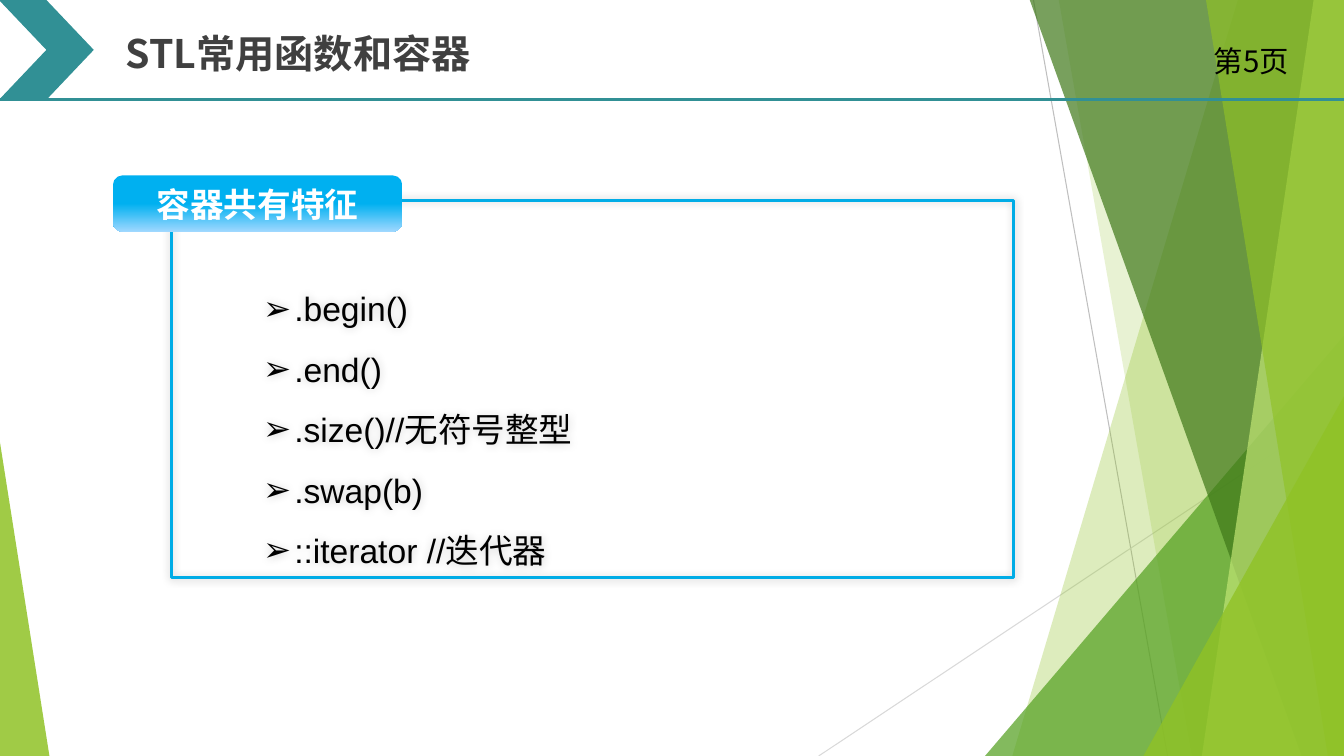
import pptx
import pptx.util
import pptx.dml.color
import pptx.enum.shapes
import pptx.enum.text
import pptx.oxml
import pptx.oxml.ns

# Content
TITLE = "STL常用函数和容器"
PAGE = "第5页"
HEADING = "容器共有特征"
FEATURES = [".begin()", ".end()", ".size()//无符号整型", ".swap(b)", "::iterator //迭代器"]

THEME = {
    "latin": "Arial", "cjk": "Noto Sans CJK SC",
    "teal": "319095", "title": "404040", "text": "000000", "white": "FFFFFF",
    "frame": "00ACE6", "tab": "00B0F0", "tab_end": "9FD8FF",
    "hair_dark": "BFBFBF", "hair_light": "D9D9D9",
    "lime": "90C226", "green": "54A021", "forest": "3F7819", "pale": "C0E474",
    "title_size": 28, "page_size": 21, "body_size": 24,
}

# Geometry in px, 100 to the inch
PX = 9144
WIDTH, HEIGHT = 1333, 750
RULE_Y = 99
# Ribbons: (top left x, bottom left x, colour, opacity); each runs to the right edge
# Triangles: (left, top, width, height, apex position, colour, opacity)
DECORATION = [
    ("ribbon", (1228, 1004, "lime", 30)),
    ("ribbon", (1050, 1182, "lime", 20)),
    ("triangle", (977, 333, 356, 417, 1, "green", 72)),
    ("ribbon", (1021, 1291, "forest", 70)),
    ("ribbon", (1303, 1192, "pale", 70)),
    ("ribbon", (1196, 1317, "lime", 65)),
    ("triangle", (1134, 393, 199, 357, 1, "lime", 80)),
    ("triangle", (0, 439, 49, 311, 0, "lime", 85)),
]

SHAPES = pptx.enum.shapes.MSO_SHAPE
ANCHOR = pptx.enum.text.MSO_ANCHOR

presentation = pptx.Presentation()
presentation.slide_width = WIDTH * PX
presentation.slide_height = HEIGHT * PX
slide = presentation.slides.add_slide(presentation.slide_layouts[6])


def rgb(name):
    return pptx.dml.color.RGBColor.from_string(THEME[name])


def add_xml(parent, xml):
    element = pptx.oxml.parse_xml(xml.replace(" ", f" {pptx.oxml.ns.nsdecls('a')} ", 1))
    parent.append(element)


def paint(shape, color, opacity=100):
    shape.shadow.inherit = False
    shape.line.fill.background()
    shape.fill.solid()
    shape.fill.fore_color.rgb = rgb(color)
    if opacity < 100:
        color_element = shape._element.spPr.find(".//" + pptx.oxml.ns.qn("a:srgbClr"))
        add_xml(color_element, f'<a:alpha val="{opacity * 1000}"/>')


def add_preset(kind, left, top, width, height):
    return slide.shapes.add_shape(kind, left * PX, top * PX, width * PX, height * PX)


def add_line(x1, y1, x2, y2, color, weight):
    connector = slide.shapes.add_connector(
        pptx.enum.shapes.MSO_CONNECTOR.STRAIGHT, x1 * PX, y1 * PX, x2 * PX, y2 * PX)
    connector.line.color.rgb = rgb(color)
    connector.line.width = pptx.util.Pt(weight)
    add_xml(connector._element.spPr, "<a:effectLst />")


def add_ribbon(top_x, bottom_x, color, opacity):
    builder = slide.shapes.build_freeform(top_x, -1, scale=PX)
    builder.add_line_segments([(WIDTH, -1), (WIDTH, HEIGHT), (bottom_x, HEIGHT)], close=True)
    paint(builder.convert_to_shape(), color, opacity)


def add_triangle(left, top, width, height, apex, color, opacity):
    triangle = add_preset(SHAPES.ISOSCELES_TRIANGLE, left, top, width, height)
    triangle.adjustments[0] = apex
    paint(triangle, color, opacity)


def add_run(paragraph, text, font, size, color, bold=False):
    run = paragraph.add_run()
    run.text = text
    run.font.name = THEME[font]
    run.font.size = pptx.util.Pt(THEME[size])
    run.font.color.rgb = rgb(color)
    run.font.bold = bold
    add_xml(run._r.get_or_add_rPr(), f'<a:ea typeface="{THEME["cjk"]}"/>')


def add_label(left, top, width, height, text, size, color, bold=False):
    box = slide.shapes.add_textbox(left * PX, top * PX, width * PX, height * PX)
    box.text_frame.word_wrap = True
    add_run(box.text_frame.paragraphs[0], text, "cjk", size, color, bold)


# Background decoration
add_line(1025, 0, 1158, HEIGHT, "hair_dark", 0.75)
add_line(WIDTH, 403, 812, HEIGHT, "hair_light", 0.75)
for kind, values in DECORATION:
    (add_ribbon if kind == "ribbon" else add_triangle)(*values)

# Header
add_line(0, RULE_Y, WIDTH, RULE_Y, "teal", 2.25)
paint(add_preset(SHAPES.CHEVRON, -1, 0, 94, RULE_Y), "teal")
add_label(1194, 38, 119, 40, PAGE, "page_size", "text")
add_label(115, 24, 433, 57, TITLE, "title_size", "title", bold=True)

# Framed feature list
frame = add_preset(SHAPES.RECTANGLE, 170, 199, 835, 374)
frame.fill.background()
frame.line.color.rgb = rgb("frame")
frame.line.width = pptx.util.Pt(2.5)
add_xml(frame._element.spPr,
        '<a:effectLst ><a:outerShdw blurRad="76200" dist="0" dir="13500000" algn="ctr" '
        'rotWithShape="0"><a:srgbClr val="000000"><a:alpha val="20000"/></a:srgbClr>'
        '</a:outerShdw></a:effectLst>')
frame_text = frame.text_frame
frame_text.word_wrap = True
frame_text.vertical_anchor = ANCHOR.TOP
frame_text.margin_top = 67 * PX
for index, feature in enumerate(FEATURES):
    paragraph = frame_text.paragraphs[0] if index == 0 else frame_text.add_paragraph()
    paragraph.alignment = pptx.enum.text.PP_ALIGN.LEFT
    paragraph.line_spacing = 1.5
    properties = paragraph._p.get_or_add_pPr()
    properties.set("marL", str(112 * PX))
    properties.set("indent", str(-31 * PX))
    add_xml(properties, '<a:buFont typeface="Wingdings"/>'.replace("Wingdings", THEME["latin"]))
    add_xml(properties, '<a:buChar char="➢"/>')
    add_run(paragraph, feature, "latin", "body_size", "text")

# Heading tab
tab = add_preset(SHAPES.ROUNDED_RECTANGLE, 112, 174, 287, 56)
tab.adjustments[0] = 0.17
paint(tab, "tab")
tab.fill.gradient()
tab.fill.gradient_angle = 270
for stop, color, position in zip(tab.fill.gradient_stops, ("tab", "tab_end"), (0.5, 1)):
    stop.color.rgb = rgb(color)
    stop.position = position
tab.text_frame.vertical_anchor = ANCHOR.MIDDLE
heading = tab.text_frame.paragraphs[0]
heading.alignment = pptx.enum.text.PP_ALIGN.CENTER
add_run(heading, HEADING, "cjk", "body_size", "white", bold=True)

presentation.save("out.pptx")
